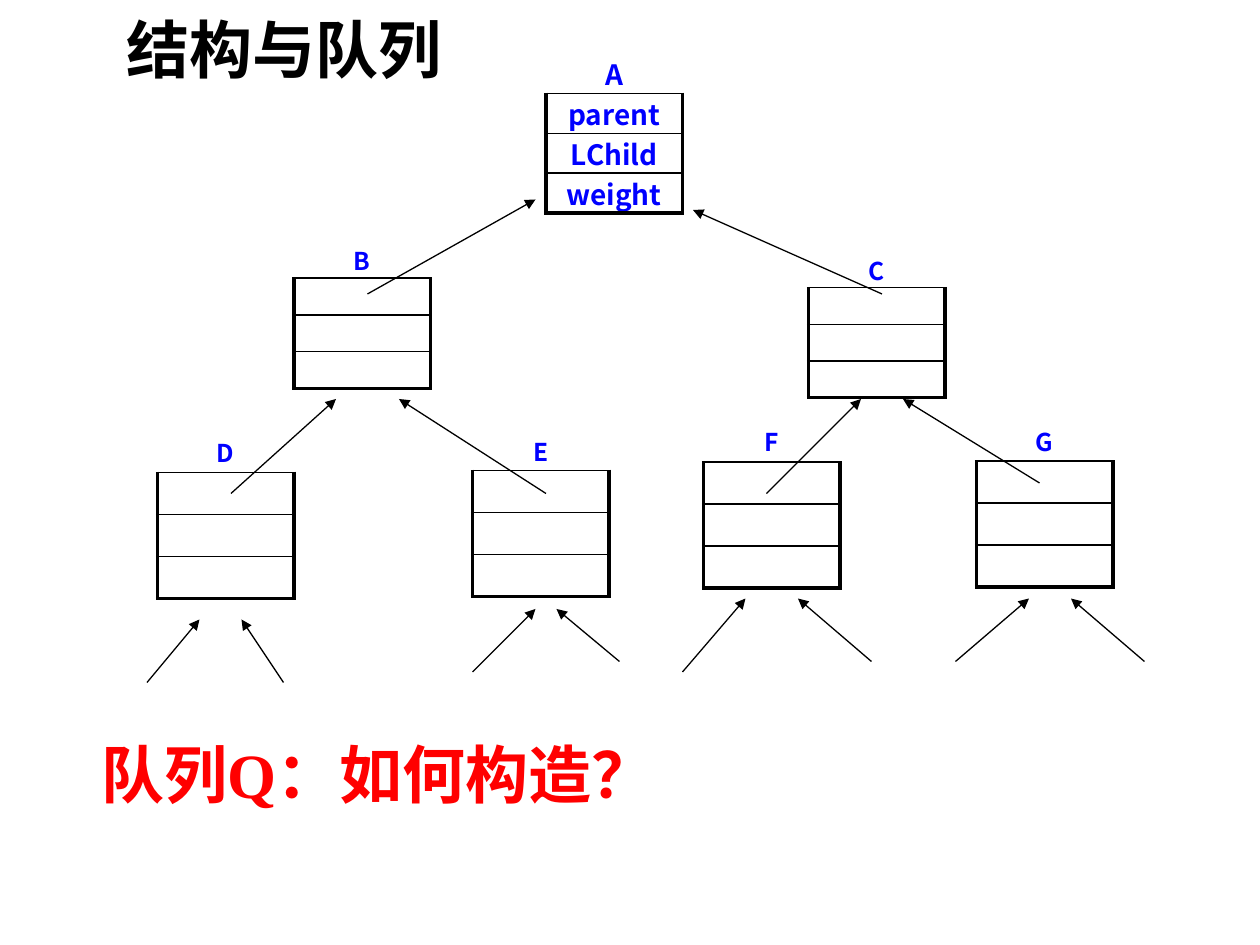
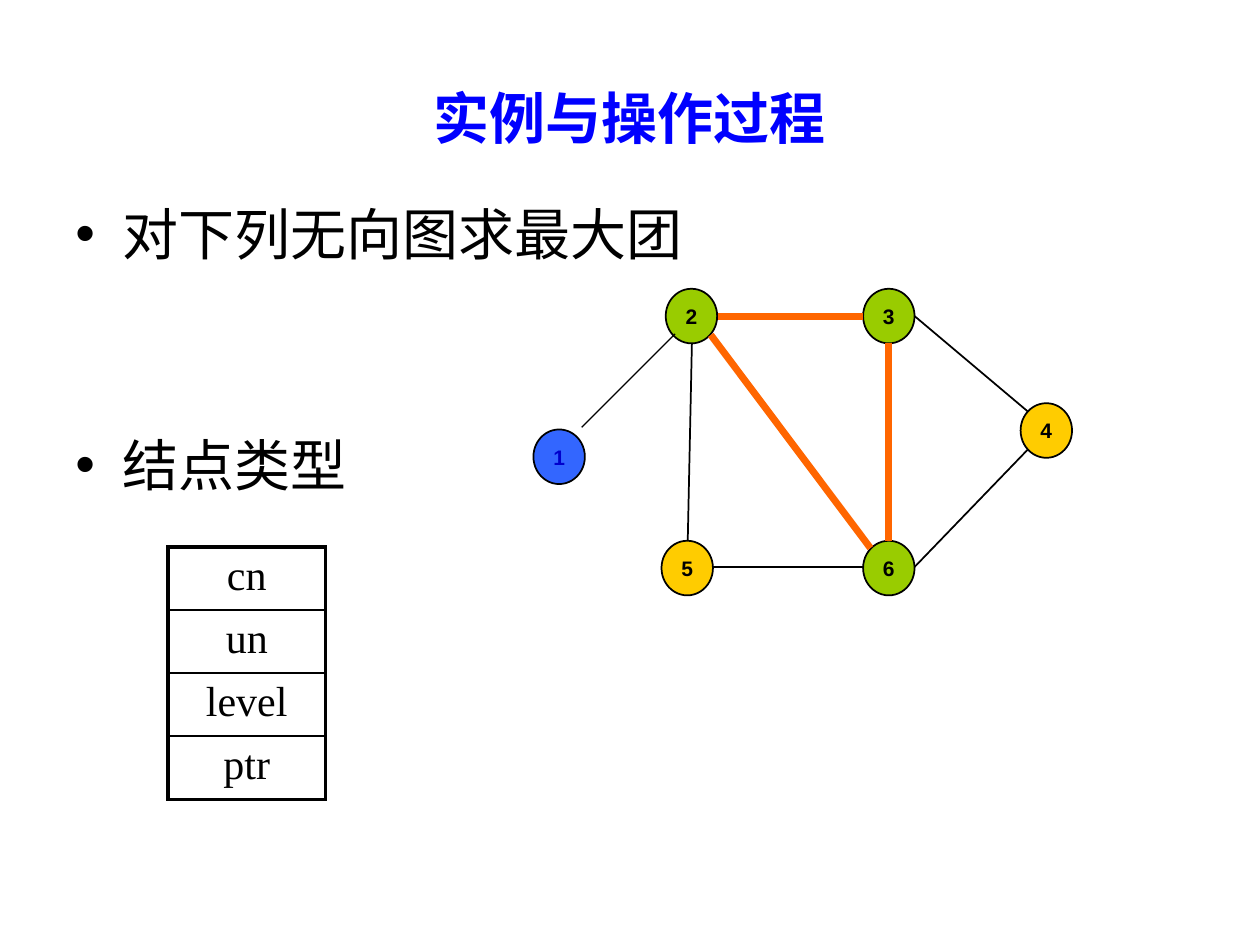
from lxml import etree
from pptx import Presentation
from pptx.dml.color import RGBColor
from pptx.enum.shapes import MSO_CONNECTOR as Conn, MSO_SHAPE as Form
from pptx.enum.text import MSO_ANCHOR as Anchor, PP_ALIGN as Align
from pptx.oxml.ns import qn
from pptx.util import Pt

PX = 914400 // 120  # 120 px to the inch
HAN, SERIF, SANS = "Noto Sans CJK SC", "Times New Roman", "Arial"
BLACK, BLUE, RED = "000000", "0000FF", "FF0000"
GREEN, GOLD, ORANGE = "99CC00", "FFCC00", "FF6600"
THICK, THIN = 2.25, 1


def px(*nums):
    return [n * PX for n in nums]


def paint(code):
    return RGBColor.from_string(code)


def fmt(size, name=SERIF, color=BLACK, bold=False):
    return {"size": Pt(size), "name": name, "bold": bold, "color": color}


class Deck:
    def __init__(self):
        self.prs = Presentation()
        self.prs.slide_width, self.prs.slide_height = px(1200, 900)
        self.page = None

    def new(self):
        self.page = self.prs.slides.add_slide(self.prs.slide_layouts[6]).shapes

    def label(self, par, text, look, align=Align.CENTER):
        par.alignment = align
        run = par.add_run()
        run.text = text
        for key, val in look.items():
            if key == "color":
                run.font.color.rgb = paint(val)
            else:
                setattr(run.font, key, val)
        props = run._r.get_or_add_rPr()
        props.set("lang", "zh-CN")
        latin = props.find(qn("a:latin"))
        latin.addnext(etree.Element(qn("a:ea"), typeface=HAN))

    def text(self, box, text, look, bullet=False):
        frame = self.page.add_textbox(*px(*box)).text_frame
        frame.word_wrap = True
        frame.margin_top = 0
        par = frame.paragraphs[0]
        if bullet:
            props = par._p.get_or_add_pPr()
            props.set("marL", str(45 * PX))
            props.set("indent", str(-45 * PX))
            etree.SubElement(props, qn("a:buFont"), typeface=SANS)
            etree.SubElement(props, qn("a:buChar"), char="•")
        self.label(par, text, look, Align.LEFT if bullet else Align.CENTER)

    def line(self, ends, color=BLACK, width=0.75, arrow=False):
        link = self.page.add_connector(Conn.STRAIGHT, *px(*ends))
        link.line.color.rgb = paint(color)
        link.line.width = Pt(width)
        props = link._element.spPr
        if arrow:
            etree.SubElement(props.find(qn("a:ln")), qn("a:tailEnd"),
                             type="triangle")
        etree.SubElement(props, qn("a:effectLst"))

    def node(self, left, top, text, fill, color=BLACK):
        dot = self.page.add_shape(Form.OVAL, *px(left, top, 49, 52))
        dot.shadow.inherit = False
        dot.fill.solid()
        dot.fill.fore_color.rgb = paint(fill)
        dot.line.color.rgb = paint(BLACK)
        dot.line.width = Pt(1)
        frame = dot.text_frame
        frame.word_wrap = False
        frame.vertical_anchor = Anchor.MIDDLE
        self.label(frame.paragraphs[0], text, fmt(12, SANS, color, True))

    def edges(self, cell, widths):
        """Draw the left, right, top and bottom borders; 0 means none."""
        props = cell._tc.get_or_add_tcPr()
        for spot, (side, width) in enumerate(zip("LRTB", widths)):
            rim = etree.Element(qn("a:ln" + side), w=str(int(Pt(width))))
            if width:
                fill = etree.SubElement(rim, qn("a:solidFill"))
                etree.SubElement(fill, qn("a:srgbClr"), val=BLACK)
            else:
                etree.SubElement(rim, qn("a:noFill"))
            props.insert(spot, rim)

    def stack(self, left, top, width, rows, texts, look, named=False):
        """One-column table; when named, the first row is an open caption."""
        size = px(left, top, width, sum(rows))
        table = self.page.add_table(len(rows), 1, *size).table
        table.first_row = table.horz_banding = False
        table.columns[0].width = size[2]
        last = len(rows) - 1
        for i, (high, text) in enumerate(zip(rows, texts)):
            table.rows[i].height = high * PX
            cell = table.cell(i, 0)
            cell.fill.background()
            if named:
                for side in ("left", "right", "top", "bottom"):
                    setattr(cell, "margin_" + side, 0)
            if named and i == 0:
                cell.vertical_anchor = Anchor.MIDDLE
                self.edges(cell, (0, 0, 0, THIN))
            else:
                self.edges(cell, (THICK, THICK, THIN if i else THICK,
                                  THICK if i == last else THIN))
            par = cell.text_frame.paragraphs[0]
            if text:
                self.label(par, text, look)
            else:
                etree.SubElement(par._p, qn("a:endParaRPr"), sz="1400")


def tree(deck):
    deck.new()
    deck.text((10, 10, 520, 150), "结构与队列", fmt(36, bold=True))

    # Tree nodes: name, left, top, caption height, row height
    fields = ("parent", "LChild", "weight")
    for name, left, top, head, row in (
            ("A", 520, 50, 39, 38), ("C", 770, 240, 34, 35),
            ("B", 280, 230, 35, 35), ("G", 930, 400, 39, 40),
            ("F", 670, 400, 40, 40), ("E", 450, 410, 38, 40),
            ("D", 150, 410, 40, 40)):
        root = name == "A"
        texts = (name, *(fields if root else [""] * 3))
        look = fmt(16 if root else 14, HAN, BLUE, True)
        deck.stack(left, top, 130, [head] + [row] * 3, texts, look, True)

    # Links from child to parent
    for ends in (
            (840, 280, 660, 200), (350, 280, 510, 190),
            (990, 460, 860, 380), (730, 470, 820, 380),
            (520, 470, 380, 380), (220, 470, 320, 380),
            (910, 630, 980, 570), (1090, 630, 1020, 570),
            (830, 630, 760, 570), (650, 640, 710, 570),
            (590, 630, 530, 580), (450, 640, 510, 580),
            (270, 650, 230, 590), (140, 650, 190, 590)):
        deck.line(ends, arrow=True)

    deck.text((80, 700, 560, 100), "队列Q：如何构造？", fmt(36, color=RED, bold=True))


def graph(deck):
    deck.new()
    deck.text((90, 80, 1020, 150), "实例与操作过程", fmt(32, HAN, BLUE, True))
    deck.text((60, 190, 1020, 90), "对下列无向图求最大团", fmt(32), True)

    # Graph nodes
    for name, left, top, fill in (
            ("2", 634, 275, GREEN), ("3", 822, 275, GREEN),
            ("5", 630, 515, GOLD), ("6", 822, 515, GREEN),
            ("4", 972, 384, GOLD)):
        deck.node(left, top, name, fill)
    deck.node(508, 409, "1", "3366FF", "0000CC")

    # Edges of the largest clique, then the others
    for ends in ((684, 301, 822, 301), (846, 515, 846, 327),
                 (677, 319, 829, 522)):
        deck.line(ends, ORANGE, 4)
    for ends in ((659, 327, 655, 515), (679, 540, 822, 540),
                 (979, 392, 871, 301), (871, 540, 979, 428)):
        deck.line(ends, width=1)
    deck.line((554, 407, 643, 318))

    # Node type
    deck.stack(160, 521, 150, [60] * 4, ("cn", "un", "level", "ptr"), fmt(24))
    deck.text((60, 410, 300, 90), "结点类型", fmt(32), True)


def main():
    deck = Deck()
    tree(deck)
    graph(deck)
    deck.prs.save("out.pptx")


if __name__ == "__main__":
    main()
